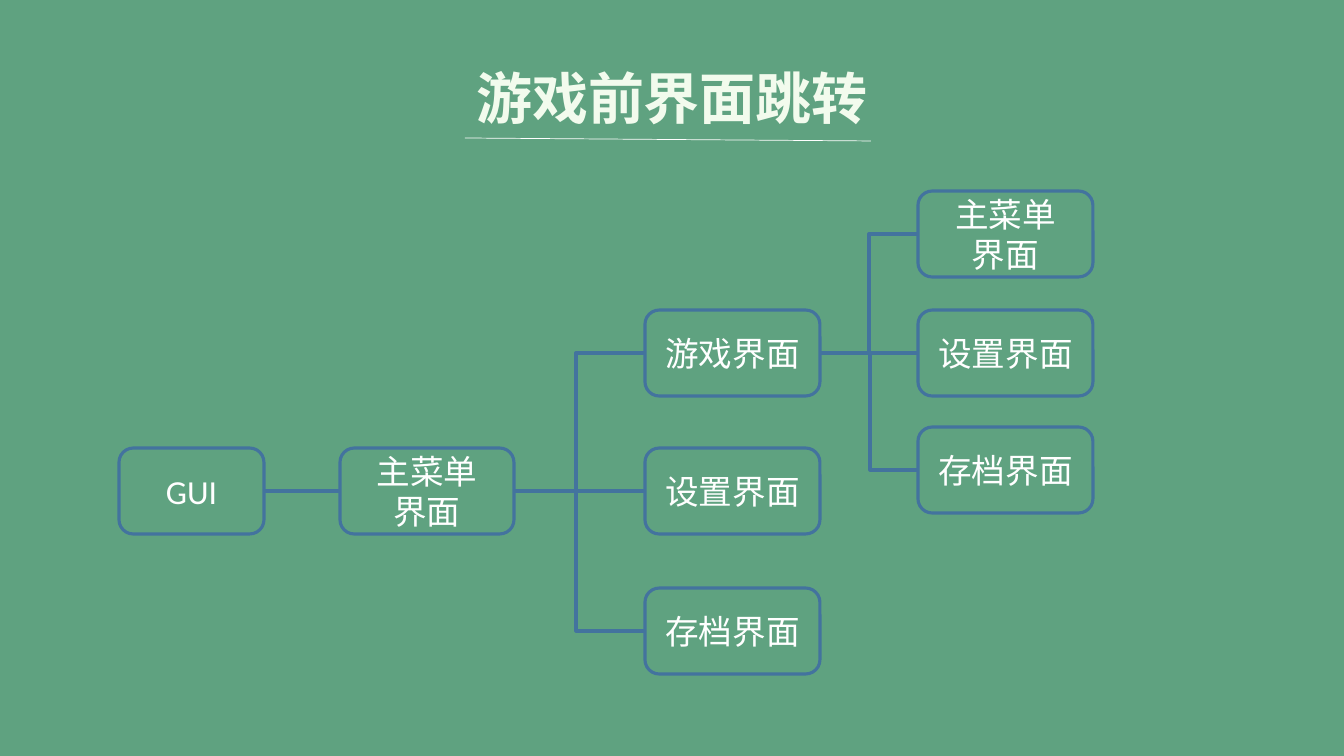
import pptx
import pptx.dml.color
import pptx.enum.shapes
import pptx.enum.text
import pptx.util
from lxml import etree
from pptx.oxml.ns import qn

PX = 9144000 / 1008
BOX_HEIGHT = 86
BLUE = "43739E"
WHITE = "FFFFFF"


def color(hex_value):
    return pptx.dml.color.RGBColor.from_string(hex_value)


def style_paragraph(paragraph, latin_font, size, hex_value, bold=False):
    """Centre a paragraph and set its Latin and East Asian fonts."""
    paragraph.alignment = pptx.enum.text.PP_ALIGN.CENTER
    paragraph.font.name = latin_font
    paragraph.font.size = pptx.util.Pt(size)
    paragraph.font.bold = bold
    paragraph.font.color.rgb = color(hex_value)
    properties = paragraph._p.pPr.find(qn("a:defRPr"))
    east_asian = etree.SubElement(properties, qn("a:ea"))
    east_asian.set("typeface", "Noto Sans CJK SC")


presentation = pptx.Presentation()
presentation.slide_width = round(1344 * PX)
presentation.slide_height = round(756 * PX)
slide = presentation.slides.add_slide(presentation.slide_layouts[5])
slide.background.fill.solid()
slide.background.fill.fore_color.rgb = color("5FA280")

# Title
title = slide.shapes.title
title.left, title.top, title.width, title.height = [
    round(length * PX) for length in (465, 58, 414, 78)]
title.text_frame.text = "游戏前界面跳转"
title.text_frame.word_wrap = False
title.text_frame.auto_size = pptx.enum.text.MSO_AUTO_SIZE.SHAPE_TO_FIT_TEXT
title.text_frame.vertical_anchor = pptx.enum.text.MSO_ANCHOR.TOP
style_paragraph(title.text_frame.paragraphs[0], "Noto Sans CJK SC", 40, "F2FBED", True)

# Screens: key, left, top, width, text
screens = [
    ("gui", 119, 448, 145, "GUI"),
    ("menu", 340, 448, 174, "主菜单\n界面"),
    ("game", 645, 310, 175, "游戏界面"),
    ("settings", 645, 448, 175, "设置界面"),
    ("saves", 645, 588, 175, "存档界面"),
    ("game menu", 918, 191, 175, "主菜单\n界面"),
    ("game settings", 918, 310, 175, "设置界面"),
    ("game saves", 918, 427, 175, "存档界面"),
]
boxes = {}
for key, left, top, width, text in screens:
    box = slide.shapes.add_shape(
        pptx.enum.shapes.MSO_SHAPE.FLOWCHART_ALTERNATE_PROCESS,
        *[round(length * PX) for length in (left, top, width, BOX_HEIGHT)])
    box.shadow.inherit = False
    box.fill.background()
    box.line.color.rgb = color(BLUE)
    box.line.width = pptx.util.Pt(2.25)
    box.text_frame.text = text
    box.text_frame.word_wrap = True
    box.text_frame.vertical_anchor = pptx.enum.text.MSO_ANCHOR.MIDDLE
    for paragraph in box.text_frame.paragraphs:
        style_paragraph(paragraph, "Calibri", 24, WHITE)
    boxes[key] = box

underline = slide.shapes.add_connector(
    pptx.enum.shapes.MSO_CONNECTOR.STRAIGHT,
    *[round(length * PX) for length in (465, 138, 871, 141)])
underline.line.color.rgb = color(WHITE)
underline.line.width = pptx.util.Pt(0.5)
connectors = [underline]

# Links: a branch leaves its parent's trunk line at branch_x
links = [
    ("gui", "menu", None),
    ("menu", "settings", None),
    ("menu", "game", 576),
    ("menu", "saves", 576),
    ("game", "game settings", None),
    ("game", "game menu", 869),
    ("game", "game saves", 870),
]
for parent_key, child_key, branch_x in links:
    parent, child = boxes[parent_key], boxes[child_key]
    if branch_x is None:
        kind = pptx.enum.shapes.MSO_CONNECTOR.STRAIGHT
        start_x = parent.left + parent.width
    else:
        kind = pptx.enum.shapes.MSO_CONNECTOR.ELBOW
        start_x = round(branch_x * PX)
    connector = slide.shapes.add_connector(
        kind, start_x, parent.top + parent.height // 2,
        child.left, child.top + child.height // 2)
    connector.end_connect(child, 1)
    if branch_x is None:
        connector.begin_connect(parent, 3)
    else:
        # Bend at the start: first vertical, then horizontal
        adjustments = connector._element.spPr.find(qn("a:prstGeom")).get_or_add_avLst()
        etree.SubElement(adjustments, qn("a:gd"), name="adj1", fmla="val 0")
    connector.line.color.rgb = color(BLUE)
    connector.line.width = pptx.util.Pt(2.25)
    connectors.append(connector)

for connector in connectors:
    etree.SubElement(connector._element.spPr, qn("a:effectLst"))

presentation.save("out.pptx")
